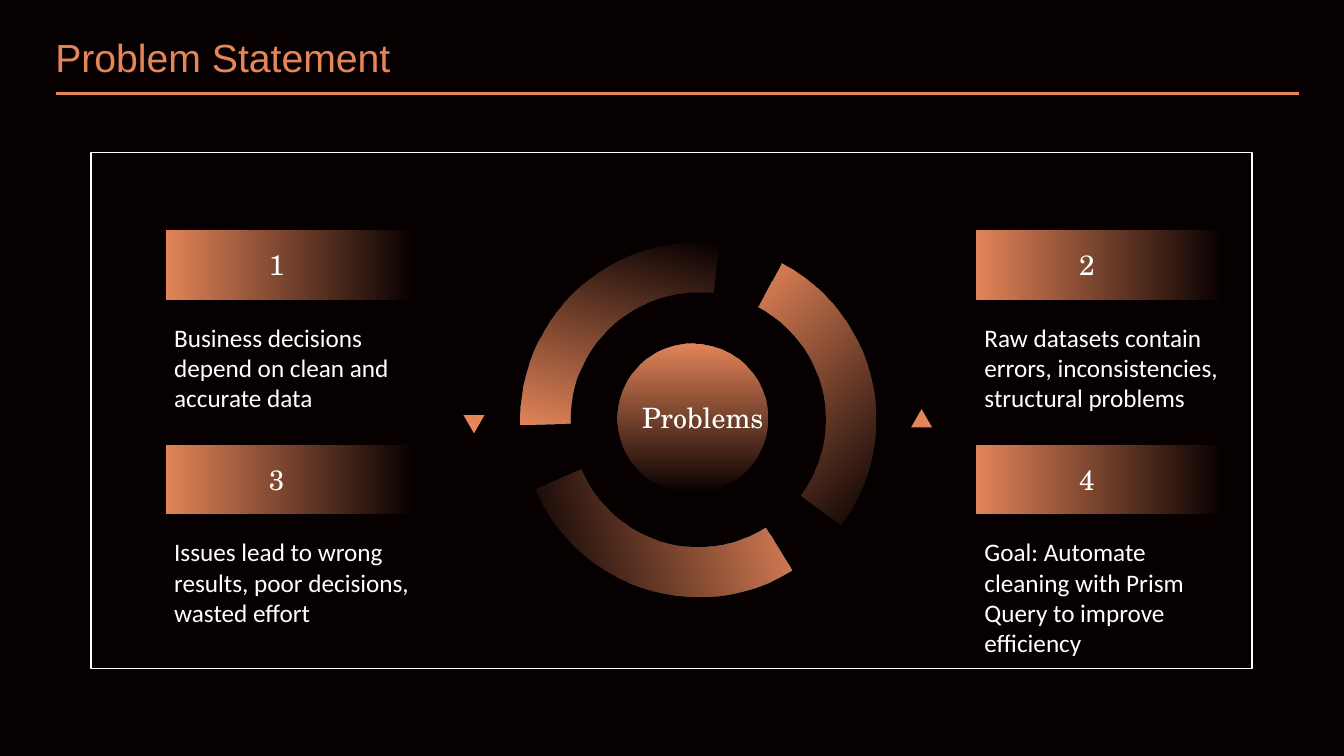
from lxml import etree
from pptx import Presentation
from pptx.dml.color import RGBColor
from pptx.enum.shapes import MSO_CONNECTOR, MSO_SHAPE
from pptx.enum.text import MSO_ANCHOR, PP_ALIGN
from pptx.oxml.ns import qn
from pptx.util import Cm, Pt

RECT, OVAL = MSO_SHAPE.RECTANGLE, MSO_SHAPE.OVAL
ARC, TRIANGLE = MSO_SHAPE.BLOCK_ARC, MSO_SHAPE.ISOSCELES_TRIANGLE
STRAIGHT = MSO_CONNECTOR.STRAIGHT
LEFT, CENTER = PP_ALIGN.LEFT, PP_ALIGN.CENTER
TOP = MSO_ANCHOR.TOP

BLACK = RGBColor(0x07, 0x00, 0x01)
COPPER = RGBColor(0xE5, 0x86, 0x5A)
WHITE = RGBColor(0xFF, 0xFF, 0xFF)


class Deck:
    title_font = "Arial"
    label_font = "TeX Gyre Schola"
    body_font = "Calibri"

    def __init__(self):
        self.prs = Presentation()
        self.prs.slide_width = Cm(33.87)
        self.prs.slide_height = Cm(19.05)
        self.s = self.prs.slides.add_slide(self.prs.slide_layouts[5])
        fill = self.s.background.fill
        fill.solid()
        fill.fore_color.rgb = BLACK

    def set_text(self, sp, text, font, size, color, align=LEFT):
        tf = sp.text_frame
        tf.word_wrap = True
        tf.vertical_anchor = TOP
        tf.text = text
        p = tf.paragraphs[0]
        p.alignment = align
        r = p.runs[0]
        r.font.name = font
        r.font.size = Pt(size)
        r.font.color.rgb = color

    def title(self, text, x, y, w, h):
        sp = self.s.shapes.title
        sp.left, sp.top, sp.width, sp.height = Cm(x), Cm(y), Cm(w), Cm(h)
        self.set_text(sp, text, self.title_font, 28, COPPER)

    def text(self, text, x, y, w, h, font, size, align=LEFT):
        sp = self.s.shapes.add_textbox(Cm(x), Cm(y), Cm(w), Cm(h))
        self.set_text(sp, text, font, size, WHITE, align)

    def rule(self, x1, x2, y):
        line = self.s.shapes.add_connector(STRAIGHT, Cm(x1), Cm(y), Cm(x2), Cm(y))
        line.line.color.rgb = COPPER
        line.line.width = Pt(2)
        etree.SubElement(line._element.spPr, qn("a:effectLst"))

    def shape(self, kind, x, y, w, h, rotation=0):
        sp = self.s.shapes.add_shape(kind, Cm(x), Cm(y), Cm(w), Cm(h))
        sp.shadow.inherit = False
        sp.line.fill.background()
        sp.rotation = rotation
        return sp

    def frame(self, x, y, w, h):
        sp = self.shape(RECT, x, y, w, h)
        sp.fill.background()
        sp.line.color.rgb = WHITE
        sp.line.width = Pt(1)

    def solid(self, kind, x, y, w, h, rotation=0):
        sp = self.shape(kind, x, y, w, h, rotation)
        sp.fill.solid()
        sp.fill.fore_color.rgb = COPPER

    def fading(self, kind, x, y, w, h, rotation=0, angle=0):
        sp = self.shape(kind, x, y, w, h, rotation)
        sp.fill.gradient()
        sp.fill.gradient_angle = angle
        for stop, position in zip(sp.fill.gradient_stops, (0, 1)):
            stop.color.rgb = COPPER
            stop.position = position
        end = sp._element.spPr.findall(".//" + qn("a:srgbClr"))[-1]
        etree.SubElement(end, qn("a:alpha"), val="0")
        return sp

    def arc(self, x, y, size, rotation):
        sp = self.fading(ARC, x, y, size, size, rotation)
        for i, value in enumerate((151.98, 210.93, 0.14)):
            sp.adjustments[i] = value

    def card(self, number, text, x, y):
        self.fading(RECT, x, y, 6.2, 1.73)
        self.text(str(number), x + 0.3, y + 0.3, 4.97, 1.12, self.label_font, 20, CENTER)
        self.text(text, x - 0.05, y + 2.18, 6.7, 3.33, self.body_font, 18)


def main():
    deck = Deck()
    deck.rule(1.4, 32.74, 2.36)
    deck.title("Problem Statement", 1.14, 0.71, 13.82, 1.45)
    deck.frame(2.29, 3.84, 29.26, 13)

    for rotation in (45, 285, 165):
        deck.arc(13.13, 6.1, 8.92, rotation)
    deck.solid(TRIANGLE, 22.96, 10.31, 0.53, 0.46)
    deck.solid(TRIANGLE, 11.68, 10.46, 0.53, 0.46, rotation=180)
    deck.fading(OVAL, 15.57, 8.66, 3.76, 3.76, angle=270)

    problems = (
        "Business decisions depend on clean and accurate data",
        "Raw datasets contain errors, inconsistencies, structural problems",
        "Issues lead to wrong results, poor decisions, wasted effort",
        "Goal: Automate cleaning with Prism Query to improve efficiency",
    )
    for i, problem in enumerate(problems):
        row, col = divmod(i, 2)
        deck.card(i + 1, problem, 4.19 + col * 20.42, 5.81 + row * 5.41)

    deck.text("Problems", 15.93, 9.98, 4.65, 1.12, deck.label_font, 20)
    deck.prs.save("out.pptx")


if __name__ == "__main__":
    main()
